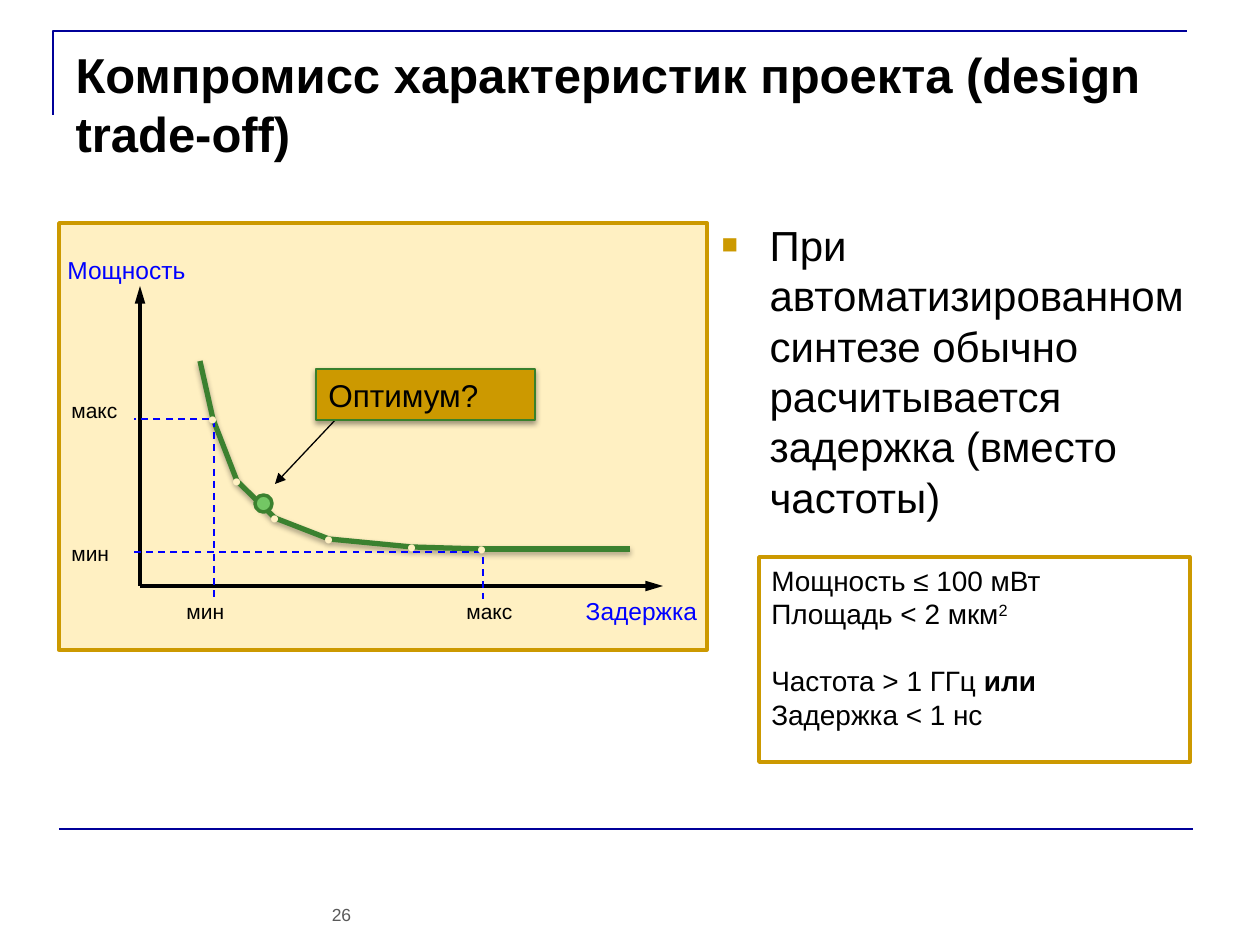
from lxml.etree import SubElement
from pptx import Presentation
from pptx.dml.color import RGBColor
from pptx.enum.dml import MSO_LINE
from pptx.enum.shapes import MSO_CONNECTOR, MSO_SHAPE
from pptx.enum.text import MSO_ANCHOR, MSO_AUTO_SIZE, PP_ALIGN
from pptx.oxml.ns import qn
from pptx.util import Emu, Pt

COLORS = {
    "black": "000000", "white": "FFFFFF", "navy": "000099", "blue": "0000FF",
    "gold": "CC9900", "cream": "FFF0C2", "green": "3B812F", "light_green": "73C764",
    "callout_edge": "38802C", "gray": "595959",
}


def px(length):
    """Turn whole px at 126 to the inch into EMU."""
    return Emu(round(length * 914400 / 126))


def rgb(name):
    """Look up a palette colour."""
    return RGBColor.from_string(COLORS[name])


def offset(box, x, y):
    """Move a point from box coordinates to slide coordinates."""
    return box[0] + x, box[1] + y


def write(frame, *paragraphs, size, color="black", bold=False, align=PP_ALIGN.LEFT,
          anchor=MSO_ANCHOR.TOP, wrap=True):
    """Fill a text frame; a paragraph is a list of (text, extra format) runs."""
    frame.word_wrap = wrap
    frame.auto_size = MSO_AUTO_SIZE.NONE
    frame.vertical_anchor = anchor
    for number, runs in enumerate(paragraphs):
        paragraph = frame.add_paragraph() if number else frame.paragraphs[0]
        paragraph.alignment = align
        for words, extra in runs:
            run = paragraph.add_run()
            run.text = words
            run.font.name = "Arial"
            run.font.size = Pt(size)
            run.font.bold = extra.get("bold", bold)
            run.font.color.rgb = rgb(color)
            if "baseline" in extra:
                run.font._element.set("baseline", str(extra["baseline"]))


def add_label(slide, words, box, **style):
    """Place a text box."""
    label = slide.shapes.add_textbox(*map(px, box))
    write(label.text_frame, [(words, {})], **style)


def add_shadow(properties, alpha):
    """Give shape properties a soft shadow falling down."""
    effects = SubElement(properties, qn("a:effectLst"))
    shadow = SubElement(effects, qn("a:outerShdw"), blurRad="40000", dist="23000",
                        dir="5400000", rotWithShape="0")
    black = SubElement(shadow, qn("a:srgbClr"), val=COLORS["black"])
    SubElement(black, qn("a:alpha"), val=str(alpha * 1000))


def add_line(slide, start, end, color, width, dashed=False, arrow=None, shadow=False):
    """Draw a straight line; arrow is the length of the head at its end."""
    line = slide.shapes.add_connector(MSO_CONNECTOR.STRAIGHT, *map(px, (*start, *end)))
    line.line.color.rgb = rgb(color)
    line.line.width = Pt(width)
    if dashed:
        line.line.dash_style = MSO_LINE.DASH
    if arrow:
        SubElement(line.line._get_or_add_ln(), qn("a:tailEnd"), type="triangle",
                   w="med", len=arrow)
    properties = line._element.spPr
    if shadow:
        add_shadow(properties, 35)
    else:
        SubElement(properties, qn("a:effectLst"))


def add_block(slide, kind, box, fill, edge, width, shadow=False):
    """Draw a filled and outlined preset shape."""
    block = slide.shapes.add_shape(kind, *map(px, box))
    block.fill.solid()
    block.fill.fore_color.rgb = rgb(fill)
    block.line.color.rgb = rgb(edge)
    block.line.width = Pt(width)
    if shadow:
        add_shadow(block._element.spPr, 38)
    else:
        block.shadow.inherit = False
    return block


def add_frame(slide, box):
    """Draw the corner rule, the bottom rule and the page number."""
    left, top, width, height = box
    pen = slide.shapes.build_freeform(px(left), px(top + 84))
    pen.add_line_segments([(px(left), px(top)), (px(left + width), px(top))], close=False)
    corner = pen.convert_to_shape()
    corner.fill.background()
    corner.line.color.rgb = rgb("navy")
    corner.line.width = Pt(1.5)
    corner.shadow.inherit = False
    bottom = top + height
    add_line(slide, (left + 6, bottom), (left + 6 + width, bottom), "navy", 1.5)
    add_label(slide, "26", (*offset(box, 262, 867), 53, 34), size=10, color="gray",
              align=PP_ALIGN.CENTER)


def set_title(slide, box):
    """Place the title."""
    title = slide.shapes.title
    title.left, title.top, title.width, title.height = map(px, box)
    write(title.text_frame,
          [("Компромисс характеристик проекта (design trade-off)", {})],
          size=28, bold=True)


def set_body(slide, box):
    """Place the bulleted remark."""
    body = slide.placeholders[1]
    body.left, body.top, body.width, body.height = map(px, box)
    write(body.text_frame,
          [("При автоматизированном синтезе обычно расчитывается задержка "
            "(вместо частоты)", {})], size=24)
    remark = body.text_frame.paragraphs[0]
    remark.space_before = Pt(5)
    bullet = remark._p.get_or_add_pPr()
    bullet.set("marL", str(px(48)))
    bullet.set("indent", str(-px(48)))
    SubElement(SubElement(bullet, qn("a:buClr")), qn("a:srgbClr"), val=COLORS["gold"])
    SubElement(bullet, qn("a:buSzPct"), val="65000")
    SubElement(bullet, qn("a:buFont"), typeface="Arial")
    SubElement(bullet, qn("a:buChar"), char="■")


def add_tradeoff(slide, box):
    """Draw power against delay with its optimum."""
    def at(x, y):
        return offset(box, x, y)

    add_block(slide, MSO_SHAPE.RECTANGLE, box, "cream", "gold", 2)
    for tip in ((81, 63), (604, 363)):
        add_line(slide, at(81, 363), at(*tip), "black", 2, arrow="lg")

    for words, x, y in (("макс", 0, 168), ("мин", 0, 311), ("мин", 115, 369),
                        ("макс", 395, 369)):
        add_label(slide, words, (*at(x, y), 72, 38), size=12, wrap=False)
    add_label(slide, "Мощность", (*at(-4, 26), 145, 43), size=14, color="blue", wrap=False)
    add_label(slide, "Задержка", (*at(493, 367), 179, 43), size=14, color="blue",
              align=PP_ALIGN.CENTER)

    curve = [(141, 138), (154, 196), (178, 258), (216, 295), (270, 316), (353, 324),
             (423, 326), (571, 326)]
    for start, end in zip(curve, curve[1:]):
        add_line(slide, at(*start), at(*end), "green", 3, shadow=True)
    for start, end in (((155, 197), (155, 376)), ((424, 334), (424, 376)),
                       ((150, 196), (75, 196)), ((422, 329), (75, 329))):
        add_line(slide, at(*start), at(*end), "blue", 1, dashed=True)
    for x, y in curve[1:-1]:
        add_label(slide, "•", (*at(x - 17, y - 21), 34, 43), size=14, color="cream",
                  bold=True, wrap=False)

    add_block(slide, MSO_SHAPE.OVAL, (*at(196, 272), 17, 17), "light_green", "green", 2)
    add_line(slide, at(280, 193), at(216, 261), "black", 0.75, arrow="med")
    callout = add_block(slide, MSO_SHAPE.RECTANGLE, (*at(257, 146), 219, 51), "gold",
                        "callout_edge", 0.75, shadow=True)
    write(callout.text_frame, [("Оптимум?", {})], size=18, anchor=MSO_ANCHOR.MIDDLE)


def add_constraints(slide, box):
    """Draw the box of design constraints."""
    constraints = add_block(slide, MSO_SHAPE.RECTANGLE, box, "white", "gold", 2)
    write(constraints.text_frame,
          [("Мощность ≤ 100 мВт", {})],
          [("Площадь < 2 мкм", {}), ("2", {"baseline": 30000})],
          [("Частота > 1 ГГц ", {}), ("или", {"bold": True})],
          [("Задержка < 1 нс", {})], size=16)
    constraints.text_frame.paragraphs[2].space_before = Pt(19)


def main():
    """Build the slide."""
    deck = Presentation()
    deck.slide_width, deck.slide_height = px(1260), px(945)
    slide = deck.slides.add_slide(deck.slide_layouts[1])
    add_frame(slide, (53, 31, 1134, 798))
    set_title(slide, (63, 38, 1134, 157))
    set_body(slide, (709, 213, 557, 581))
    add_tradeoff(slide, (59, 223, 648, 427))
    add_constraints(slide, (759, 557, 431, 205))
    deck.save("out.pptx")


if __name__ == "__main__":
    main()
